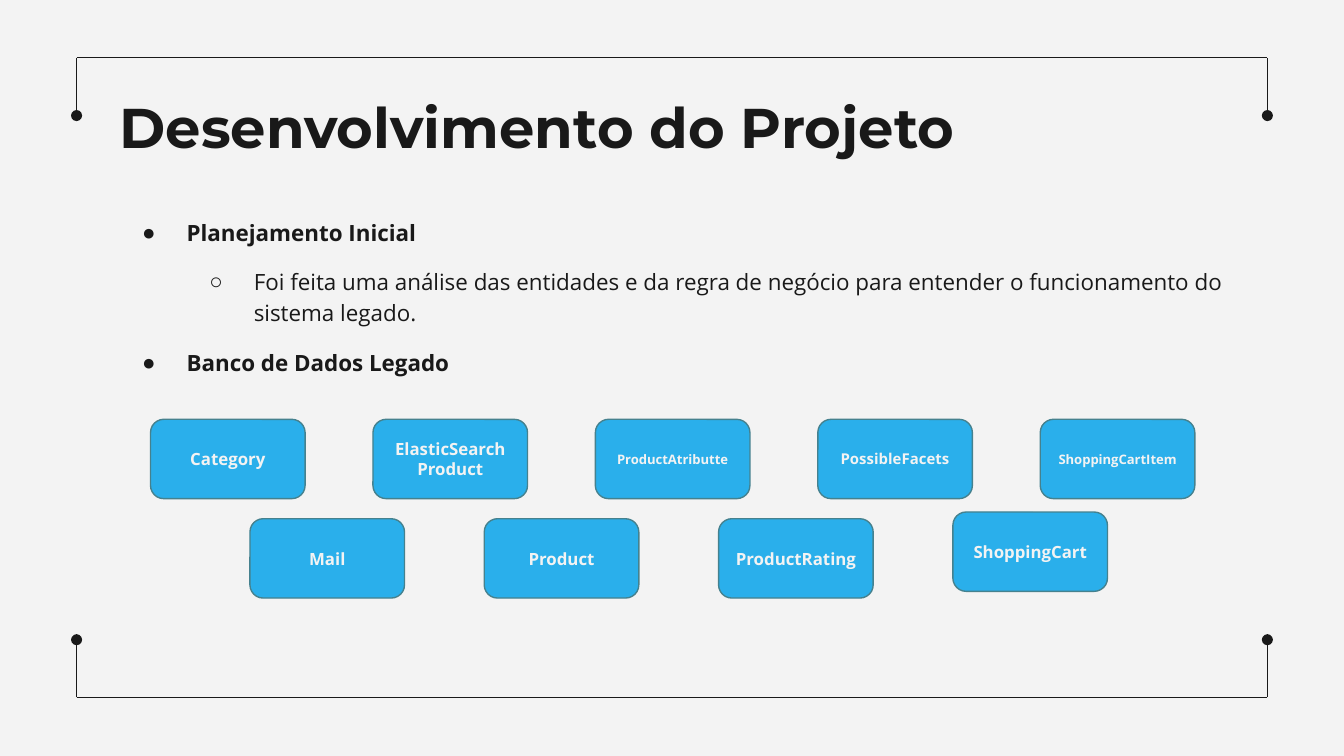
from lxml import etree
from pptx import Presentation
from pptx.dml.color import RGBColor
from pptx.enum.shapes import MSO_CONNECTOR, MSO_SHAPE
from pptx.enum.text import MSO_ANCHOR, PP_ALIGN
from pptx.oxml.ns import qn
from pptx.util import Inches, Pt

LINE = MSO_CONNECTOR.STRAIGHT
ROUND = MSO_SHAPE.ROUNDED_RECTANGLE
TOP, MIDDLE = MSO_ANCHOR.TOP, MSO_ANCHOR.MIDDLE
LEFT, CENTER = PP_ALIGN.LEFT, PP_ALIGN.CENTER

theme = {
    "ink": RGBColor.from_string("191919"),
    "paper": RGBColor.from_string("F3F3F3"),
    "blue": RGBColor.from_string("2AAFEB"),
    "edge": RGBColor.from_string("45818E"),
    "head": "Montserrat",
    "text": "Open Sans",
    "mark": "Arial",
    "title": 30,
    "body": 12,
    "stroke": 0.75,
}


def set_frame(frame, anchor):
    frame.word_wrap = True
    frame.vertical_anchor = anchor
    frame.margin_left = frame.margin_right = Inches(0.1)
    frame.margin_top = frame.margin_bottom = Inches(0.1)


def add_run(para, text, size, color, face=theme["text"], bold=True):
    run = para.add_run()
    run.text = text
    run.font.name = face
    run.font.size = Pt(size)
    run.font.bold = bold
    run.font.color.rgb = color


deck = Presentation()
deck.slide_width = Inches(10)
deck.slide_height = Inches(10) * 9 // 16
slide = deck.slides.add_slide(deck.slide_layouts[5])
slide.background.fill.solid()
slide.background.fill.fore_color.rgb = theme["paper"]
shapes = slide.shapes

left, right = 0.57, 9.43
for edge, end in [(0.43, 0.86), (5.19, 4.76)]:
    for x1, x2, y2, dot in [
        (left, right, edge, False),
        (left, left, end, True),
        (right, right, end, True),
    ]:
        line = shapes.add_connector(
            LINE, Inches(x1), Inches(edge), Inches(x2), Inches(y2)
        )
        line.line.color.rgb = theme["ink"]
        line.line.width = Pt(theme["stroke"])
        if dot:
            tail = etree.SubElement(line.line._get_or_add_ln(), qn("a:tailEnd"))
            tail.set("type", "oval")
        etree.SubElement(line._element.spPr, qn("a:effectLst"))

title = shapes.title
title.left, title.top = Inches(0.79), Inches(0.59)
title.width, title.height = Inches(8.43), Inches(0.63)
set_frame(title.text_frame, TOP)
para = title.text_frame.paragraphs[0]
para.alignment = LEFT
add_run(para, "Desenvolvimento do Projeto", theme["title"], theme["ink"], theme["head"])

body = shapes.add_textbox(Inches(0.79), Inches(1.5), Inches(8.43), Inches(3.2))
frame = body.text_frame
set_frame(frame, TOP)
points = [
    (0, "Planejamento Inicial"),
    (
        1,
        "Foi feita uma análise das entidades e da regra de negócio "
        "para entender o funcionamento do sistema legado.",
    ),
    (0, "Banco de Dados Legado"),
]
for i, (level, text) in enumerate(points):
    para = frame.add_paragraph() if i else frame.paragraphs[0]
    para.level = level
    props = para._p.get_or_add_pPr()
    props.set("marL", str(Inches(0.5 + 0.5 * level)))
    props.set("indent", str(-Inches(0.33)))
    tint = etree.SubElement(props, qn("a:buClr"))
    etree.SubElement(tint, qn("a:srgbClr")).set("val", str(theme["ink"]))
    etree.SubElement(props, qn("a:buFont")).set("typeface", theme["mark"])
    etree.SubElement(props, qn("a:buChar")).set("char", "●○"[level])
    para.line_spacing = 1.15
    if i:
        para.space_before = Pt(10)
    add_run(para, text, theme["body"], theme["ink"], bold=level == 0)

rows = [
    (1.12, 7.74, [
        ("Category", 9, 3.12),
        ("ElasticSearchProduct", 9, 3.12),
        ("ProductAtributte", 7, 3.12),
        ("PossibleFacets", 8, 3.12),
        ("ShoppingCartItem", 7, 3.12),
    ]),
    (1.86, 7.09, [
        ("Mail", 9, 3.86),
        ("Product", 9, 3.86),
        ("ProductRating", 9, 3.86),
        ("ShoppingCart", 9, 3.81),
    ]),
]
for first, last, cards in rows:
    step = (last - first) / (len(cards) - 1)
    for i, (name, size, top) in enumerate(cards):
        card = shapes.add_shape(
            ROUND, Inches(first + i * step), Inches(top), Inches(1.15), Inches(0.59)
        )
        card.adjustments[0] = 1 / 6
        card.shadow.inherit = False
        card.fill.solid()
        card.fill.fore_color.rgb = theme["blue"]
        card.line.color.rgb = theme["edge"]
        card.line.width = Pt(theme["stroke"])
        set_frame(card.text_frame, MIDDLE)
        para = card.text_frame.paragraphs[0]
        para.alignment = CENTER
        add_run(para, name, size, theme["paper"])

deck.save("out.pptx")
